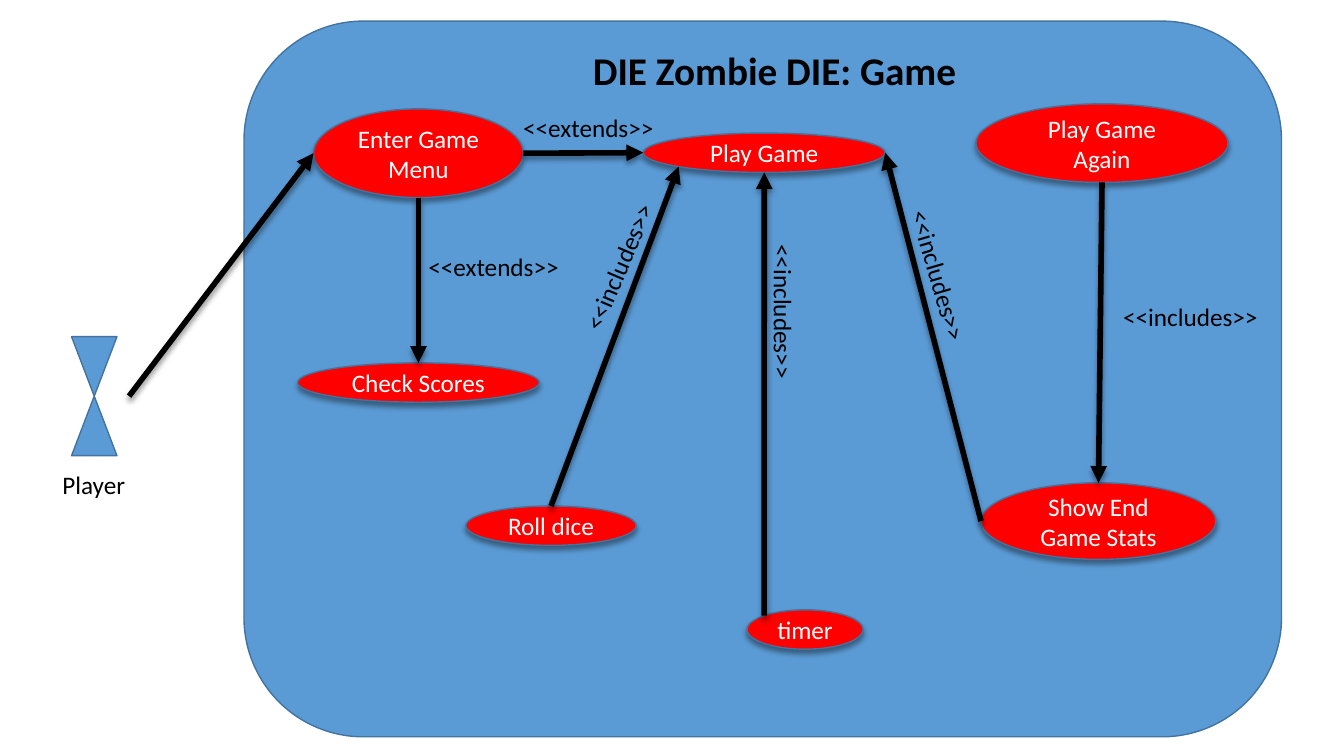
import math
from dataclasses import dataclass

import pptx
import pptx.dml.color
import pptx.enum.dml
import pptx.enum.shapes
import pptx.enum.text
import pptx.oxml
import pptx.oxml.ns
import pptx.util
from pptx.util import Inches

# Boxes are left, top, width, height in inches.
TITLE = ("DIE Zombie DIE: Game", (5.78, 0.41, 3.85, 0.57))
SYSTEM_BOX = (2.42, 0.21, 10.29, 7.1)
PLAYER_BOX = (0.71, 3.34, 0.45, 1.18)
PLAYER_HAND = (1.28, 3.93)

USE_CASES = {
    "menu": ("Enter Game Menu", (3.11, 1.08, 2.08, 0.88)),
    "scores": ("Check Scores", (2.95, 3.6, 2.4, 0.39)),
    "play": ("Play Game", (6.38, 1.32, 2.4, 0.39)),
    "timer": ("timer", (7.41, 6.05, 1.15, 0.39)),
    "dice": ("Roll dice", (4.62, 5.02, 1.69, 0.39)),
    "stats": ("Show End Game Stats", (9.73, 4.79, 2.33, 0.76)),
    "again": ("Play Game\nAgain", (9.68, 1.03, 2.5, 0.78)),
}

# Each arrow runs from one (use case, side) to another.
ARROWS = [
    (("menu", "bottom"), ("scores", "top")),
    (("timer", "top left"), ("play", "bottom")),
    (("dice", "top"), ("play", "bottom left")),
    (("menu", "right"), ("play", "left")),
    (("stats", "left"), ("play", "right")),
    (("again", "bottom"), ("stats", "top")),
]

# Text, box, rotation in degrees
LABELS = [
    ("Player", (0.52, 4.61, 0.83, 0.4), 0),
    ("<<extends>>", (5.09, 1.07, 1.51, 0.4), 0),
    ("<<extends>>", (4.15, 2.44, 1.51, 0.4), 0),
    ("<<includes>>", (11.04, 2.94, 1.55, 0.4), 0),
    ("<<includes>>", (5.36, 2.44, 1.55, 0.4), 293.1),
    ("<<includes>>", (7, 2.9, 1.55, 0.4), 90),
    ("<<includes>>", (8.54, 2.54, 1.55, 0.4), 73.7),
]

SIDE_ANGLES = {"right": 0, "bottom": 90, "bottom left": 135,
               "left": 180, "top left": 225, "top": 270}


def rgb(value):
    return pptx.dml.color.RGBColor.from_string(value)


@dataclass(frozen=True)
class Theme:
    font: str = "Calibri"
    blue: str = "5B9BD5"
    outline: str = "43739E"
    red: str = "FF0000"
    black: str = "000000"
    white: str = "FFFFFF"
    title_size: int = 28
    text_size: int = 18
    outline_width: int = 1
    arrow_width: int = 4


THEME = Theme()
SHADOW_XML = (
    f'<a:effectLst {pptx.oxml.ns.nsdecls("a")}>'
    '<a:outerShdw blurRad="50800" dist="38100" dir="5400000" rotWithShape="0">'
    f'<a:srgbClr val="{THEME.black}"><a:alpha val="40000"/></a:srgbClr>'
    '</a:outerShdw></a:effectLst>'
)
ARROWHEAD_XML = f'<a:tailEnd {pptx.oxml.ns.nsdecls("a")} type="triangle"/>'


def inches(values):
    return [Inches(value) for value in values]


def add_shadow(shape):
    properties = shape.element.spPr
    for effects in properties.findall(pptx.oxml.ns.qn("a:effectLst")):
        properties.remove(effects)
    properties.append(pptx.oxml.parse_xml(SHADOW_XML))


def write_text(shape, text, color, size=THEME.text_size, bold=False,
               alignment=pptx.enum.text.PP_ALIGN.LEFT):
    shape.text_frame.text = text
    for paragraph in shape.text_frame.paragraphs:
        paragraph.alignment = alignment
        paragraph.font.name = THEME.font
        paragraph.font.size = pptx.util.Pt(size)
        paragraph.font.bold = bold
        paragraph.font.color.rgb = rgb(color)


def add_figure(slide, kind, box, fill):
    shape = slide.shapes.add_shape(kind, *inches(box))
    shape.shadow.inherit = False
    shape.fill.solid()
    shape.fill.fore_color.rgb = rgb(fill)
    shape.line.color.rgb = rgb(THEME.outline)
    shape.line.width = pptx.util.Pt(THEME.outline_width)
    return shape


def add_use_case(slide, text, box):
    ellipse = add_figure(slide, pptx.enum.shapes.MSO_SHAPE.OVAL, box, THEME.red)
    add_shadow(ellipse)
    write_text(ellipse, text, THEME.white, alignment=pptx.enum.text.PP_ALIGN.CENTER)
    ellipse.text_frame.vertical_anchor = pptx.enum.text.MSO_ANCHOR.MIDDLE


def edge_point(name, side):
    """Return the point on the named ellipse's outline at the given side."""
    left, top, width, height = USE_CASES[name][1]
    angle = math.radians(SIDE_ANGLES[side])
    return (left + width / 2 * (1 + math.cos(angle)),
            top + height / 2 * (1 + math.sin(angle)))


def add_arrow(slide, start, end):
    arrow = slide.shapes.add_connector(
        pptx.enum.shapes.MSO_CONNECTOR.STRAIGHT, *inches(start + end))
    arrow.line.color.rgb = rgb(THEME.black)
    arrow.line.width = pptx.util.Pt(THEME.arrow_width)
    arrow.line._get_or_add_ln().append(pptx.oxml.parse_xml(ARROWHEAD_XML))
    add_shadow(arrow)


def add_label(slide, text, box, rotation):
    label = slide.shapes.add_textbox(*inches(box))
    label.rotation = rotation
    write_text(label, text, THEME.black)
    label.text_frame.word_wrap = False


def place_title(slide, system):
    text, box = TITLE
    title = slide.shapes.title
    title.left, title.top, title.width, title.height = inches(box)
    write_text(title, text, THEME.black, THEME.title_size, bold=True)
    title.text_frame.word_wrap = False
    title.text_frame.auto_size = pptx.enum.text.MSO_AUTO_SIZE.NONE
    title.text_frame.vertical_anchor = pptx.enum.text.MSO_ANCHOR.TOP
    system.element.addnext(title.element)  # in front of the system box


def main():
    presentation = pptx.Presentation()
    presentation.slide_width, presentation.slide_height = inches((13.33, 7.5))
    slide = presentation.slides.add_slide(
        presentation.slide_layouts.get_by_name("Title Only"))

    kinds = pptx.enum.shapes.MSO_SHAPE
    system = add_figure(slide, kinds.FLOWCHART_ALTERNATE_PROCESS, SYSTEM_BOX, THEME.blue)
    place_title(slide, system)
    add_figure(slide, kinds.FLOWCHART_COLLATE, PLAYER_BOX, THEME.blue)

    for text, box in USE_CASES.values():
        add_use_case(slide, text, box)
    for start, end in ARROWS:
        add_arrow(slide, edge_point(*start), edge_point(*end))
    for text, box, rotation in LABELS:
        add_label(slide, text, box, rotation)
    add_arrow(slide, PLAYER_HAND, edge_point("menu", "left"))

    presentation.save("out.pptx")


if __name__ == "__main__":
    main()
